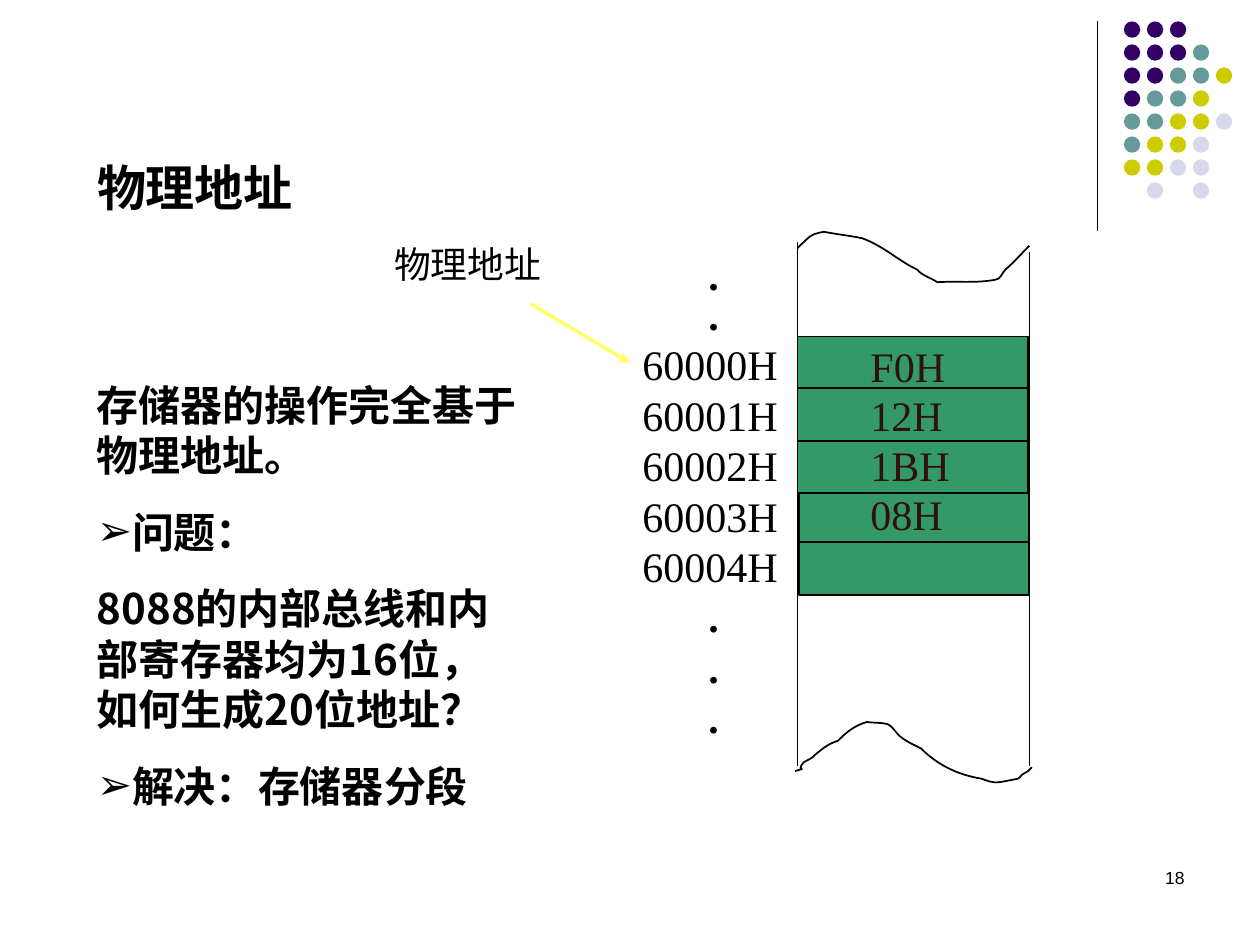
from dataclasses import dataclass

from lxml.etree import SubElement
from pptx import Presentation
from pptx.dml.color import RGBColor
from pptx.enum.shapes import MSO_CONNECTOR, MSO_SHAPE
from pptx.enum.text import MSO_ANCHOR, MSO_AUTO_SIZE, PP_ALIGN
from pptx.oxml.ns import qn
from pptx.util import Inches, Pt


@dataclass(frozen=True)
class Theme:
    """Colours, fonts and type sizes of the slide."""
    ink: str = "000000"
    value: str = "301010"
    cell: str = "339966"
    arrow: str = "FFFF66"
    dots: tuple = ("330066", "669999", "CCCC00", "D8D8EC")
    sans: str = "Arial"
    serif: str = "Times New Roman"
    cjk: str = "Noto Sans CJK SC"
    title: float = 28
    body: float = 24
    label: float = 21
    number: float = 10


T = Theme()
DOT_ROWS = ("000", "0001", "00112", "0112", "11223", "1223", "2233", " 3 3")
CELLS = ((6.33, 2.67), (6.33, 3.08), (6.33, 3.5), (6.34, 3.91), (6.34, 4.3))
VALUES = (("F0H", 2.65), ("12H", 3.04), ("1BH", 3.44), ("08H", 3.83))
TOP_EDGE = ((6.33, 1.97), (
    (6.35, 1.95, 6.42, 1.88, 6.44, 1.87), (6.47, 1.85, 6.54, 1.84, 6.54, 1.84),
    (6.64, 1.86, 6.74, 1.87, 6.84, 1.89), (7.01, 1.95, 7.13, 2.07, 7.28, 2.14),
    (7.32, 2.19, 7.38, 2.2, 7.44, 2.24), (7.59, 2.23, 7.75, 2.25, 7.9, 2.22),
    (7.94, 2.22, 7.95, 2.17, 7.98, 2.14), (8.05, 2.08, 8.11, 2.01, 8.17, 1.95)))
BOTTOM_EDGE = ((6.31, 6.12), (
    (6.44, 6.08, 6.3, 6.14, 6.38, 6.05), (6.41, 6.03, 6.45, 6.02, 6.47, 5.99),
    (6.53, 5.94, 6.58, 5.9, 6.65, 5.88), (6.72, 5.81, 6.78, 5.76, 6.88, 5.73),
    (6.93, 5.74, 6.99, 5.73, 7.05, 5.75), (7.08, 5.76, 7.12, 5.83, 7.15, 5.85),
    (7.22, 5.9, 7.23, 5.9, 7.31, 5.94), (7.44, 6.07, 7.6, 6.15, 7.79, 6.18),
    (7.9, 6.22, 7.88, 6.22, 8.08, 6.18), (8.09, 6.18, 8.1, 6.16, 8.11, 6.15),
    (8.13, 6.14, 8.14, 6.13, 8.16, 6.12), (8.17, 6.11, 8.19, 6.09, 8.19, 6.09)))


def rgb(color):
    """Turn a hex string into a colour."""
    return RGBColor.from_string(color)


def add_text(tf, text, *, size=T.body, font=T.sans, color=T.ink, bold=False,
             align=PP_ALIGN.LEFT, spacing=None, before=0, bullet=None):
    """Write one formatted paragraph, filling the first one if it is empty."""
    p = tf.paragraphs[0]
    if p.runs:
        p = tf.add_paragraph()
    if bullet:
        pPr = p._p.get_or_add_pPr()
        SubElement(SubElement(pPr, qn("a:buClr")), qn("a:srgbClr")).set("val", color)
        SubElement(pPr, qn("a:buFont")).set("typeface", T.sans)
        SubElement(pPr, qn("a:buChar")).set("char", bullet)
    p.alignment = align
    if spacing:
        p.line_spacing = spacing
    if before:
        p.space_before = Pt(before)
    r = p.add_run()
    r.text = text
    r.font.size, r.font.bold, r.font.name = Pt(size), bold, font
    r.font.color.rgb = rgb(color)
    SubElement(r._r.get_or_add_rPr(), qn("a:ea")).set("typeface", T.cjk)


class Canvas:
    """Draws the kinds of element used on the current slide."""

    def __init__(self, slide, theme):
        """Keep the slide and its style."""
        self.s, self.theme = slide, theme

    def title(self, text, x, y, w, h):
        """Place and format the title placeholder."""
        sp = self.s.shapes.title
        sp.left, sp.top, sp.width, sp.height = map(Inches, (x, y, w, h))
        tf = sp.text_frame
        tf.auto_size = MSO_AUTO_SIZE.NONE
        tf.vertical_anchor = MSO_ANCHOR.BOTTOM
        add_text(tf, text, size=self.theme.title, bold=True)

    def text(self, x, y, w, h, text=None, **fmt):
        """Add a wrapping text box and return its frame."""
        tf = self.s.shapes.add_textbox(*map(Inches, (x, y, w, h))).text_frame
        tf.word_wrap = True
        if text:
            add_text(tf, text, **fmt)
        return tf

    def shape(self, kind, x, y, w, h, fill, outlined=False, group=None):
        """Add a filled preset shape to the slide or to a group."""
        shapes = (group or self.s).shapes
        sp = shapes.add_shape(kind, *map(Inches, (x, y, w, h)))
        sp.shadow.inherit = False
        sp.fill.solid()
        sp.fill.fore_color.rgb = rgb(fill)
        if outlined:
            sp.line.color.rgb = rgb(self.theme.ink)
            sp.line.width = Pt(1)
        else:
            sp.line.fill.background()

    def line(self, x1, y1, x2, y2, color=T.ink, width=1, arrow=False):
        """Add a straight line, with an arrowhead at its end if asked."""
        cn = self.s.shapes.add_connector(
            MSO_CONNECTOR.STRAIGHT, *map(Inches, (x1, y1, x2, y2)))
        cn.line.color.rgb = rgb(color)
        cn.line.width = Pt(width)
        if arrow:
            SubElement(cn.line._get_or_add_ln(), qn("a:tailEnd")).set("type", "triangle")
        SubElement(cn._element.spPr, qn("a:effectLst"))

    def curve(self, start, curves):
        """Add an open outline whose segments are cubic curves."""
        fb = self.s.shapes.build_freeform(*map(Inches, start), scale=1.0)
        fb.add_line_segments([tuple(map(Inches, c[4:])) for c in curves], close=False)
        sp = fb.convert_to_shape()
        for seg, c in zip(list(sp._element.iter(qn("a:lnTo"))), curves):
            bez = SubElement(seg.getparent(), qn("a:cubicBezTo"))
            for x, y in zip(c[::2], c[1::2]):
                pt = SubElement(bez, qn("a:pt"))
                pt.set("x", str(Inches(x) - sp.left))
                pt.set("y", str(Inches(y) - sp.top))
            seg.getparent().replace(seg, bez)
        sp.shadow.inherit = False
        sp.fill.background()
        sp.line.color.rgb = rgb(self.theme.ink)
        sp.line.width = Pt(1)


def draw_ornament(c):
    """Draw the corner rule and dot grid."""
    c.line(8.71, 0.17, 8.71, 1.83, width=0.75)
    group = c.s.shapes.add_group_shape()
    pitch = 0.73 / 4
    for row, codes in enumerate(DOT_ROWS):
        for col, code in enumerate(codes):
            if code != " ":
                c.shape(MSO_SHAPE.OVAL, 8.92 + col * pitch, 0.17 + row * pitch,
                        0.13, 0.13, T.dots[int(code)], group=group)


def draw_memory(c):
    """Draw the memory column with its addresses."""
    for x, y in CELLS:
        c.shape(MSO_SHAPE.RECTANGLE, x, y, 1.83, 0.42, T.cell, True)
    c.line(6.33, 1.92, 6.33, 6.08)
    c.line(8.17, 2, 8.17, 6.08)
    c.curve(*TOP_EDGE)
    c.curve(*BOTTOM_EDGE)
    tf = c.text(5, 2, 1.33, 3.94)
    dot = dict(font=T.serif, bold=True, align=PP_ALIGN.CENTER)
    for _ in range(2):
        add_text(tf, ".", spacing=0.8, **dot)
    add_text(tf, " ".join(f"6000{i}H" for i in range(5)), font=T.serif)
    for _ in range(3):
        add_text(tf, ".", **dot)


def main():
    """Build the slide and save it."""
    prs = Presentation()
    prs.slide_width, prs.slide_height = Inches(10), Inches(7.5)
    c = Canvas(prs.slides.add_slide(prs.slide_layouts[5]), T)
    draw_ornament(c)
    c.title("物理地址", 0.67, 0.52, 3.14, 1.25)
    c.text(3.03, 1.94, 1.89, 0.41, "物理地址", size=T.label, spacing=0.8)
    draw_memory(c)
    c.line(4.21, 2.41, 5, 2.88, T.arrow, 2, arrow=True)
    for value, y in VALUES:
        c.text(6.81, y, 0.92, 0.5, value, font=T.serif, color=T.value)
    tf = c.text(0.67, 2.96, 3.54, 3.53)
    for i, (text, bullet) in enumerate((
            ("存储器的操作完全基于物理地址。", None),
            ("问题：", "➢"),
            ("8088的内部总线和内部寄存器均为16位，如何生成20位地址？", None),
            ("解决：存储器分段", "➢"))):
        add_text(tf, text, font=T.cjk, bold=True, before=15 if i else 0, bullet=bullet)
    c.text(7.17, 6.83, 2.33, 0.5, "18", size=T.number, align=PP_ALIGN.RIGHT)
    prs.save("out.pptx")


if __name__ == "__main__":
    main()
